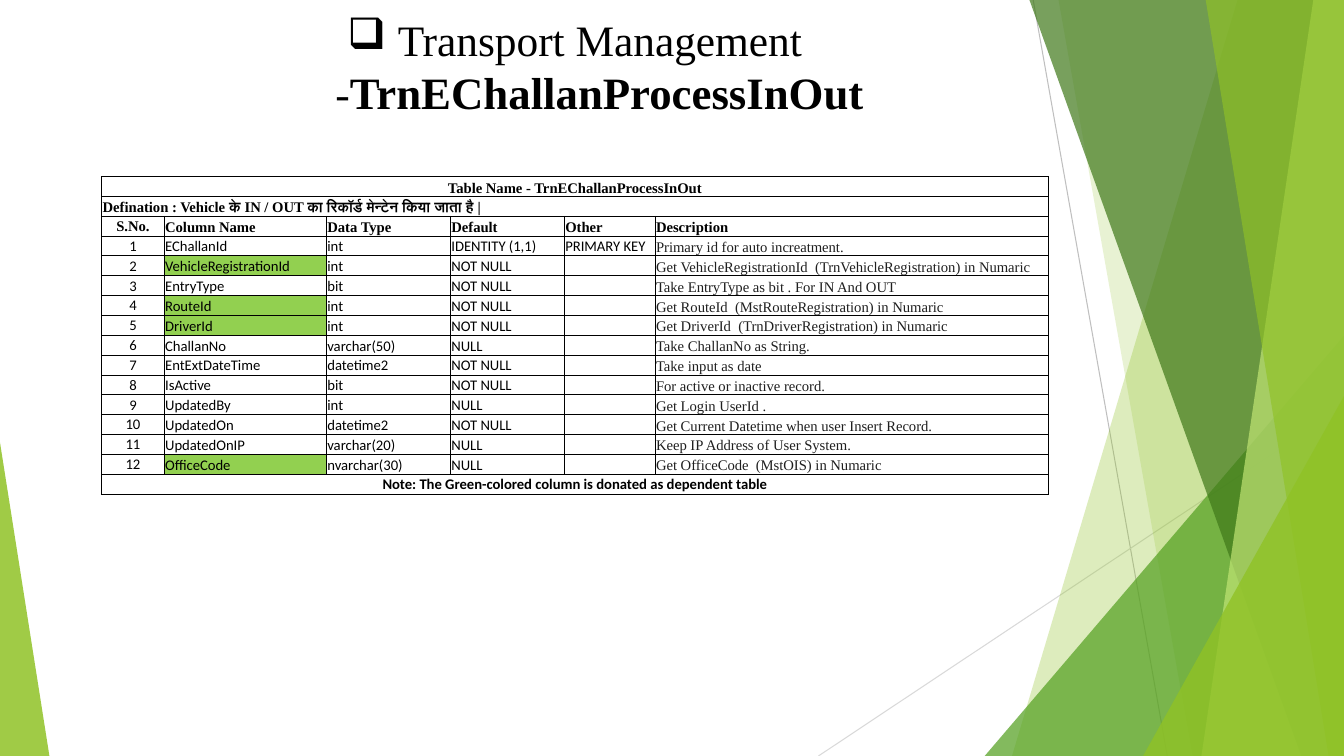
from dataclasses import dataclass

from lxml import etree
from pptx import Presentation
from pptx.dml.color import RGBColor
from pptx.enum import shapes, text
from pptx.oxml import ns
from pptx.util import Pt


@dataclass(frozen=True)
class Theme:
    serif: str = "Times New Roman"
    sans: str = "Calibri"
    black: str = "000000"
    body_grey: str = "1F1F1F"
    highlight: str = "92D050"
    lime: str = "90C226"
    pale_lime: str = "C0E474"
    green: str = "54A021"
    dark_green: str = "3F7819"
    title_size: float = 31
    name_size: float = 32
    table_size: float = 10.5
    border: float = 0.5
    hairline: float = 0.75


THEME = Theme()
WIDTH, HEIGHT = 960, 540
BAND_TOP = -0.7

COLUMN_WIDTHS = [44.6, 115.9, 88.6, 81.4, 64.8, 280.8]
ROW_HEIGHT = 14.2
TABLE_NAME = "Table Name - TrnEChallanProcessInOut"
DEFINITION = "Defination : Vehicle के IN / OUT का रिकॉर्ड मेन्टेन किया जाता है |"
NOTE = "Note: The Green-colored column is donated as dependent table"
HEADINGS = ["S.No.", "Column Name", "Data Type", "Default", "Other", "Description"]
FIELDS = [
    ("EChallanId", "int", "IDENTITY (1,1)", "PRIMARY KEY", "Primary id for auto increatment."),
    ("VehicleRegistrationId", "int", "NOT NULL", "",
     "Get VehicleRegistrationId  (TrnVehicleRegistration) in Numaric"),
    ("EntryType", "bit", "NOT NULL", "", "Take EntryType as bit . For IN And OUT"),
    ("RouteId", "int", "NOT NULL", "", "Get RouteId  (MstRouteRegistration) in Numaric"),
    ("DriverId", "int", "NOT NULL", "", "Get DriverId  (TrnDriverRegistration) in Numaric"),
    ("ChallanNo", "varchar(50)", "NULL", "", "Take ChallanNo as String."),
    ("EntExtDateTime", "datetime2", "NOT NULL", "", "Take input as date"),
    ("IsActive", "bit", "NOT NULL", "", "For active or inactive record."),
    ("UpdatedBy", "int", "NULL", "", "Get Login UserId ."),
    ("UpdatedOn", "datetime2", "NOT NULL", "", "Get Current Datetime when user Insert Record."),
    ("UpdatedOnIP", "varchar(20)", "NULL", "", "Keep IP Address of User System."),
    ("OfficeCode", "nvarchar(30)", "NULL", "", "Get OfficeCode  (MstOIS) in Numaric"),
]
DEPENDENT = {"VehicleRegistrationId", "RouteId", "DriverId", "OfficeCode"}


def add_element(parent, tag, **attributes):
    return etree.SubElement(parent, ns.qn(tag), attributes)


def set_font(font, name, size, color, bold=False):
    font.name, font.size, font.bold = name, Pt(size), bold
    font.color.rgb = RGBColor.from_string(color)


# Background decoration
def add_hairline(page, start, end, color):
    line = page.shapes.add_connector(
        shapes.MSO_CONNECTOR.STRAIGHT, *(Pt(value) for value in start + end))
    line.line.color.rgb = RGBColor.from_string(color)
    line.line.width = Pt(THEME.hairline)
    add_element(line._element.spPr, "a:effectLst")


def paint(shape, color, opacity):
    shape.shadow.inherit = False
    shape.line.fill.background()
    shape.fill.solid()
    shape.fill.fore_color.rgb = RGBColor.from_string(color)
    tint = shape._element.spPr.find(".//" + ns.qn("a:srgbClr"))
    add_element(tint, "a:alpha", val=str(opacity * 1000))


def add_band(page, top_x, bottom_x, color, opacity):
    """Fill from a slanted left edge to the right side of the page."""
    outline = page.shapes.build_freeform(Pt(top_x), Pt(BAND_TOP))
    corners = [(WIDTH, BAND_TOP), (WIDTH, HEIGHT), (bottom_x, HEIGHT)]
    outline.add_line_segments([(Pt(x), Pt(y)) for x, y in corners], close=True)
    paint(outline.convert_to_shape(), color, opacity)


def add_corner(page, left, top, width, apex, color, opacity):
    """Triangle standing on the bottom edge of the page."""
    corner = page.shapes.add_shape(
        shapes.MSO_SHAPE.ISOSCELES_TRIANGLE,
        Pt(left), Pt(top), Pt(width), Pt(HEIGHT - top))
    corner.adjustments[0] = apex
    paint(corner, color, opacity)


def add_decoration(page):
    add_hairline(page, (738, 0), (833.8, HEIGHT), "BFBFBF")
    add_hairline(page, (WIDTH, 290.2), (584.6, HEIGHT), "D9D9D9")
    add_band(page, 884.2, 722.9, THEME.lime, 30)
    add_band(page, 756, 851.8, THEME.lime, 20)
    add_corner(page, 703.4, 239.8, 256.6, 1, THEME.green, 72)
    add_band(page, 735.1, 929.5, THEME.dark_green, 70)
    add_band(page, 938.2, 858.2, THEME.pale_lime, 70)
    add_band(page, 861.1, 949, THEME.lime, 65)
    add_corner(page, 816.5, 283, 143.5, 1, THEME.lime, 80)
    add_corner(page, 0, 316.1, 35.3, 0, THEME.lime, 85)


# Title
def add_title(page):
    box = page.shapes.add_textbox(Pt(112.3), Pt(5.8), Pt(596.2), Pt(83.5))
    box.text_frame.word_wrap = True
    para = box.text_frame.paragraphs[0]
    para.alignment = text.PP_ALIGN.CENTER
    properties = para._p.get_or_add_pPr()
    properties.set("marL", str(Pt(36)))
    properties.set("indent", str(Pt(-36)))
    add_element(properties, "a:buChar", char="❑")
    for words, size, bold in [("Transport Management -", THEME.title_size, False),
                              ("TrnEChallanProcessInOut", THEME.name_size, True)]:
        span = para.add_run()
        span.text = words
        set_font(span.font, THEME.serif, size, THEME.black, bold)


# Table
def add_borders(cell):
    properties = cell._tc.get_or_add_tcPr()
    for side in ("a:lnL", "a:lnR", "a:lnT", "a:lnB"):
        border = add_element(properties, side, w=str(Pt(THEME.border)))
        add_element(add_element(border, "a:solidFill"), "a:srgbClr", val=THEME.black)


def fill_cell(cell, words, font, color=THEME.black, bold=False, centred=False, middle=False):
    cell.margin_left = cell.margin_right = cell.margin_top = Pt(0.7)
    cell.margin_bottom = Pt(0)
    cell.vertical_anchor = text.MSO_ANCHOR.MIDDLE if middle else text.MSO_ANCHOR.BOTTOM
    para = cell.text_frame.paragraphs[0]
    if words:
        para.add_run().text = words
    else:
        # An empty cell takes its line height from the end mark
        add_element(para._p, "a:endParaRPr", sz=str(int(THEME.table_size * 100)))
    para.alignment = text.PP_ALIGN.CENTER if centred else text.PP_ALIGN.LEFT
    set_font(para.font, font, THEME.table_size, color, bold)


def add_field_table(page):
    rows, columns = len(FIELDS) + 4, len(COLUMN_WIDTHS)
    frame = page.shapes.add_table(rows, columns, Pt(72.7), Pt(126),
                                  Pt(sum(COLUMN_WIDTHS)), Pt(ROW_HEIGHT * rows))
    table = frame.table
    table.first_row = table.horz_banding = False
    for column, width in zip(table.columns, COLUMN_WIDTHS):
        column.width = Pt(width)
    for row in table.rows:
        row.height = Pt(ROW_HEIGHT)
    for cell in table.iter_cells():
        add_borders(cell)
        cell.fill.background()

    # Full-width rows
    for row, words, font, centred in [(0, TABLE_NAME, THEME.serif, True),
                                      (1, DEFINITION, THEME.serif, False),
                                      (rows - 1, NOTE, THEME.sans, True)]:
        table.cell(row, 0).merge(table.cell(row, columns - 1))
        fill_cell(table.cell(row, 0), words, font, bold=True, centred=centred)

    # Headings and fields
    for index, words in enumerate(HEADINGS):
        fill_cell(table.cell(2, index), words, THEME.serif, bold=True,
                  centred=index == 0, middle=index == 0)
    for number, field in enumerate(FIELDS, 1):
        row = number + 2
        fill_cell(table.cell(row, 0), str(number), THEME.sans, centred=True, middle=True)
        for index, words in enumerate(field[:-1], 1):
            fill_cell(table.cell(row, index), words, THEME.sans)
        fill_cell(table.cell(row, columns - 1), field[-1], THEME.serif, THEME.body_grey)
        if field[0] in DEPENDENT:
            name_fill = table.cell(row, 1).fill
            name_fill.solid()
            name_fill.fore_color.rgb = RGBColor.from_string(THEME.highlight)


def main():
    deck = Presentation()
    deck.slide_width, deck.slide_height = Pt(WIDTH), Pt(HEIGHT)
    page = deck.slides.add_slide(deck.slide_layouts[6])
    add_decoration(page)
    add_title(page)
    add_field_table(page)
    deck.save("out.pptx")


if __name__ == "__main__":
    main()
